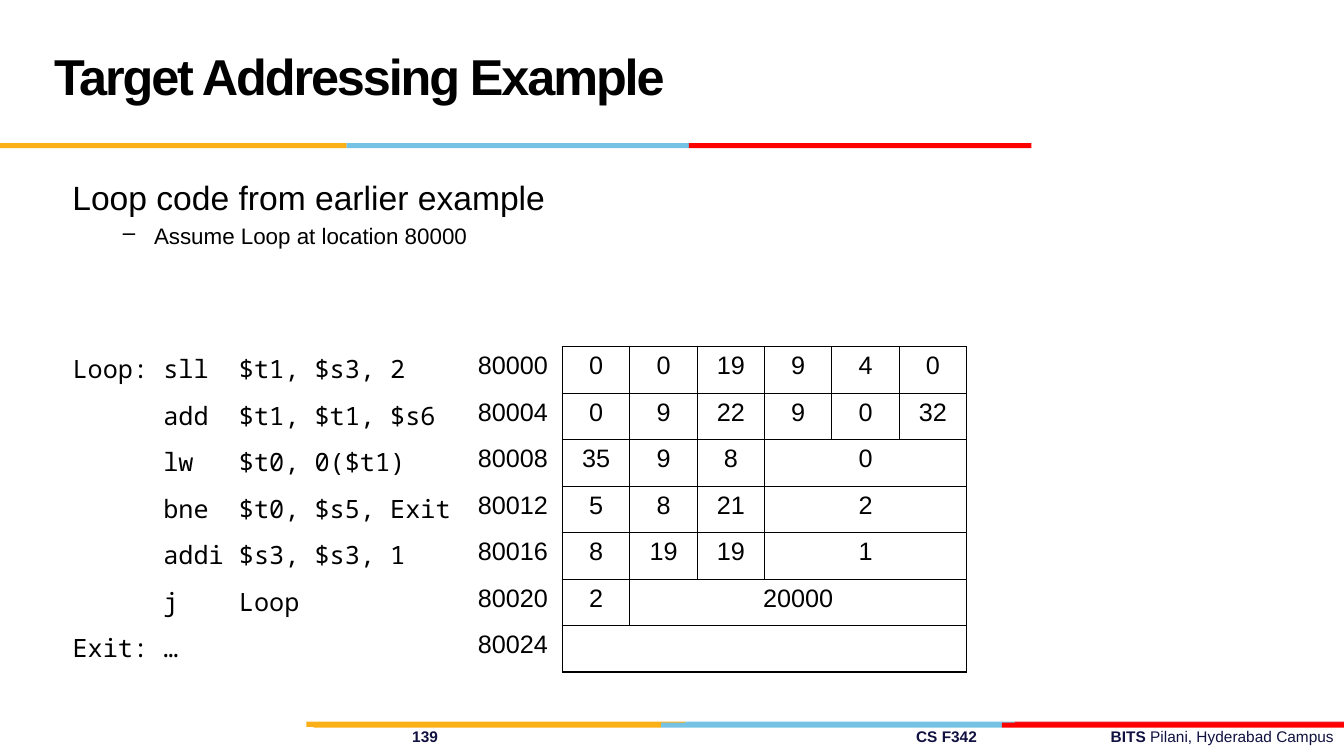
from dataclasses import dataclass

import lxml.etree
import pptx
import pptx.dml.color
import pptx.enum.shapes
import pptx.enum.text
import pptx.oxml.ns
import pptx.util

ALIGN = pptx.enum.text.PP_ALIGN
ANCHOR = pptx.enum.text.MSO_ANCHOR


@dataclass(frozen=True)
class Theme:
    sans: str = "Arial"
    mono: str = "Noto Sans Mono"
    black: str = "000000"
    white: str = "FFFFFF"
    navy: str = "101141"
    gold: str = "FCB017"
    sky: str = "76C2E5"
    red: str = "FF0000"
    crimson: str = "E31C24"
    title: int = 36
    lead: int = 24
    point: int = 16
    cell: int = 18
    footer: int = 11


THEME = Theme()
SLIDE_WIDTH = pptx.util.Inches(13.33)
SLIDE_HEIGHT = pptx.util.Inches(7.5)
BAR_HEIGHT = 0.67
ROW_HEIGHT = 6.15
FIELD_COUNT = 6
COLUMN_WIDTHS = [30.16, 7.05] + [5.01] * FIELD_COUNT
FIRST_ADDRESS = 80000
WORD_BYTES = 4

PROGRAM = [
    ("Loop: sll  $t1, $s3, 2", ["0", "0", "19", "9", "4", "0"]),
    ("      add  $t1, $t1, $s6", ["0", "9", "22", "9", "0", "32"]),
    ("      lw   $t0, 0($t1)", ["35", "9", "8", "0"]),
    ("      bne  $t0, $s5, Exit", ["5", "8", "21", "2"]),
    ("      addi $s3, $s3, 1", ["8", "19", "19", "1"]),
    ("      j    Loop", ["2", "20000"]),
    ("Exit: …", [""]),
]


def across(percent):
    return round(SLIDE_WIDTH * percent / 100)


def down(percent):
    return round(SLIDE_HEIGHT * percent / 100)


def place(left, top, width, height):
    return across(left), down(top), across(width), down(height)


def apply(target, values):
    for name, value in values.items():
        setattr(target, name, value)


def add_span(para, text, size, color=THEME.black, name=THEME.sans, bold=False):
    span = para.add_run()
    span.text = text
    apply(span.font, {"name": name, "size": pptx.util.Pt(size), "bold": bold})
    span.font.color.rgb = pptx.dml.color.RGBColor.from_string(color)
    return span


def add_box(page, area, anchor=ANCHOR.TOP):
    frame = page.shapes.add_textbox(*place(*area)).text_frame
    apply(frame, {"word_wrap": True, "vertical_anchor": anchor})
    return frame


def set_indent(para, margin, hanging, bullet=None):
    properties = para._p.get_or_add_pPr()
    properties.set("marL", str(pptx.util.Inches(margin)))
    properties.set("indent", str(-pptx.util.Inches(hanging)))
    if bullet:
        mark = lxml.etree.SubElement(properties, pptx.oxml.ns.qn("a:buChar"))
        mark.set("char", bullet)


def add_strip(page, top, edges, colors):
    for left, right, color in zip(edges, edges[1:], colors):
        bar = page.shapes.add_shape(
            pptx.enum.shapes.MSO_SHAPE.RECTANGLE,
            *place(left, top, right - left, BAR_HEIGHT))
        bar.shadow.inherit = False
        bar.fill.solid()
        bar.fill.fore_color.rgb = pptx.dml.color.RGBColor.from_string(color)
        bar.line.fill.background()


def add_title(page, text):
    frame = add_box(page, (3.3, 2.27, 69.17, 16.67), ANCHOR.MIDDLE)
    para = frame.paragraphs[0]
    para.line_spacing = pptx.util.Pt(THEME.title)
    span = add_span(para, text, THEME.title, bold=True)
    span.font._element.set("spc", "-150")


def add_content(page, lead, point):
    frame = add_box(page, (4.65, 22.8, 67.9, 17.87))
    para = frame.paragraphs[0]
    set_indent(para, 0.38, 0.38)
    add_span(para, lead, THEME.lead)
    para = frame.add_paragraph()
    para.level = 1
    set_indent(para, 0.81, 0.31, "–")
    para.space_before = pptx.util.Pt(THEME.point * 0.2)
    add_span(para, point, THEME.point)


def add_footer(page):
    entries = [
        (29.93, 8, ALIGN.LEFT, "139", ""),
        (67.42, 8, ALIGN.LEFT, "CS F342", ""),
        (78, 22, ALIGN.RIGHT, "BITS ", "Pilani, Hyderabad Campus"),
    ]
    for left, width, alignment, strong, plain in entries:
        para = add_box(page, (left, 95.47, width, 3.87)).paragraphs[0]
        para.alignment = alignment
        add_span(para, strong, THEME.footer, THEME.navy, bold=True)
        if plain:
            add_span(para, plain, THEME.footer, THEME.navy)


def set_borders(cell, left, top, right, bottom):
    properties = cell._tc.get_or_add_tcPr()
    for side, color in zip("LRTB", (left, right, top, bottom)):
        line = lxml.etree.SubElement(properties, pptx.oxml.ns.qn(f"a:ln{side}"))
        line.set("w", str(pptx.util.Pt(1)))
        fill = lxml.etree.SubElement(line, pptx.oxml.ns.qn("a:solidFill"))
        lxml.etree.SubElement(fill, pptx.oxml.ns.qn("a:srgbClr")).set("val", color)
    cell.fill.background()


def fill_cell(cell, text, name=THEME.sans, alignment=ALIGN.LEFT):
    if text:
        para = cell.text_frame.paragraphs[0]
        para.alignment = alignment
        add_span(para, text, THEME.cell, name=name)


def add_program(page):
    area = place(4.65, 45.87, sum(COLUMN_WIDTHS), ROW_HEIGHT * len(PROGRAM))
    table = page.shapes.add_table(len(PROGRAM), len(COLUMN_WIDTHS), *area).table
    apply(table, {"first_row": False, "horz_banding": False})
    for column, width in zip(table.columns, COLUMN_WIDTHS):
        column.width = across(width)
    white, black = THEME.white, THEME.black
    borders = [[white] * 4, [white, white, black, white]] + [[black] * 4] * FIELD_COUNT
    for index, (code, fields) in enumerate(PROGRAM):
        table.rows[index].height = down(ROW_HEIGHT)
        for column, colors in enumerate(borders):
            set_borders(table.cell(index, column), *colors)
        fill_cell(table.cell(index, 0), code, THEME.mono)
        fill_cell(table.cell(index, 1), str(FIRST_ADDRESS + WORD_BYTES * index))
        for column, value in enumerate(fields, start=2):
            fill_cell(table.cell(index, column), value, alignment=ALIGN.CENTER)
        if len(fields) < FIELD_COUNT:
            last_field = table.cell(index, 1 + len(fields))
            last_field.merge(table.cell(index, 1 + FIELD_COUNT))


def main():
    deck = pptx.Presentation()
    apply(deck, {"slide_width": SLIDE_WIDTH, "slide_height": SLIDE_HEIGHT})
    page = deck.slides.add_slide(deck.slide_layouts[6])
    bright = [THEME.gold, THEME.sky, THEME.red]
    add_footer(page)
    add_strip(page, 95.47, [22.8, 51, 75.5, 100], [THEME.gold, THEME.sky, THEME.crimson])
    add_strip(page, 95.6, [23.33, 49.2, 74.55, 100], bright)
    add_strip(page, 18.93, [0, 25.8, 51.25, 76.75], bright)
    add_title(page, "Target Addressing Example")
    add_content(page, "Loop code from earlier example", "Assume Loop at location 80000")
    add_program(page)
    deck.save("out.pptx")


if __name__ == "__main__":
    main()
